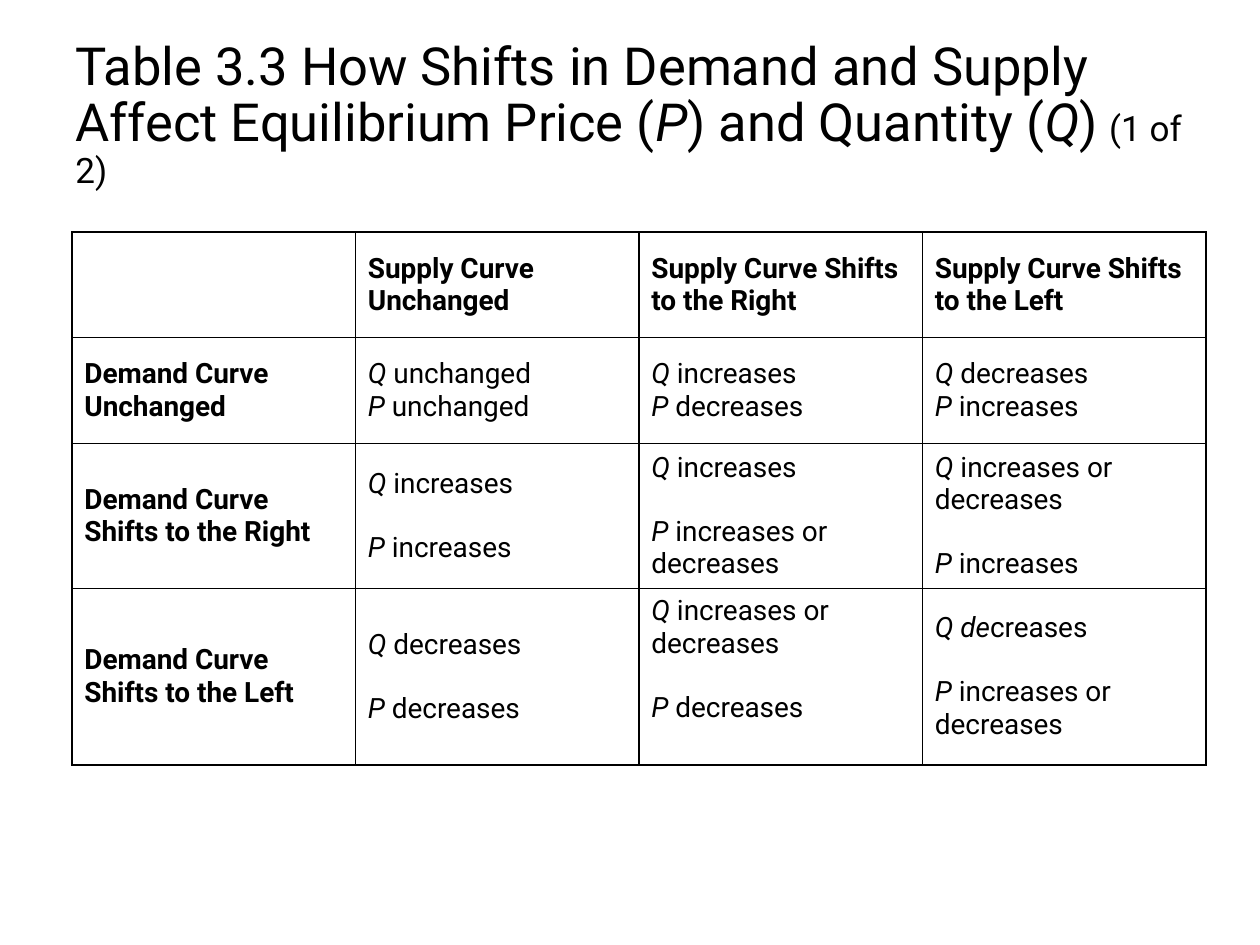
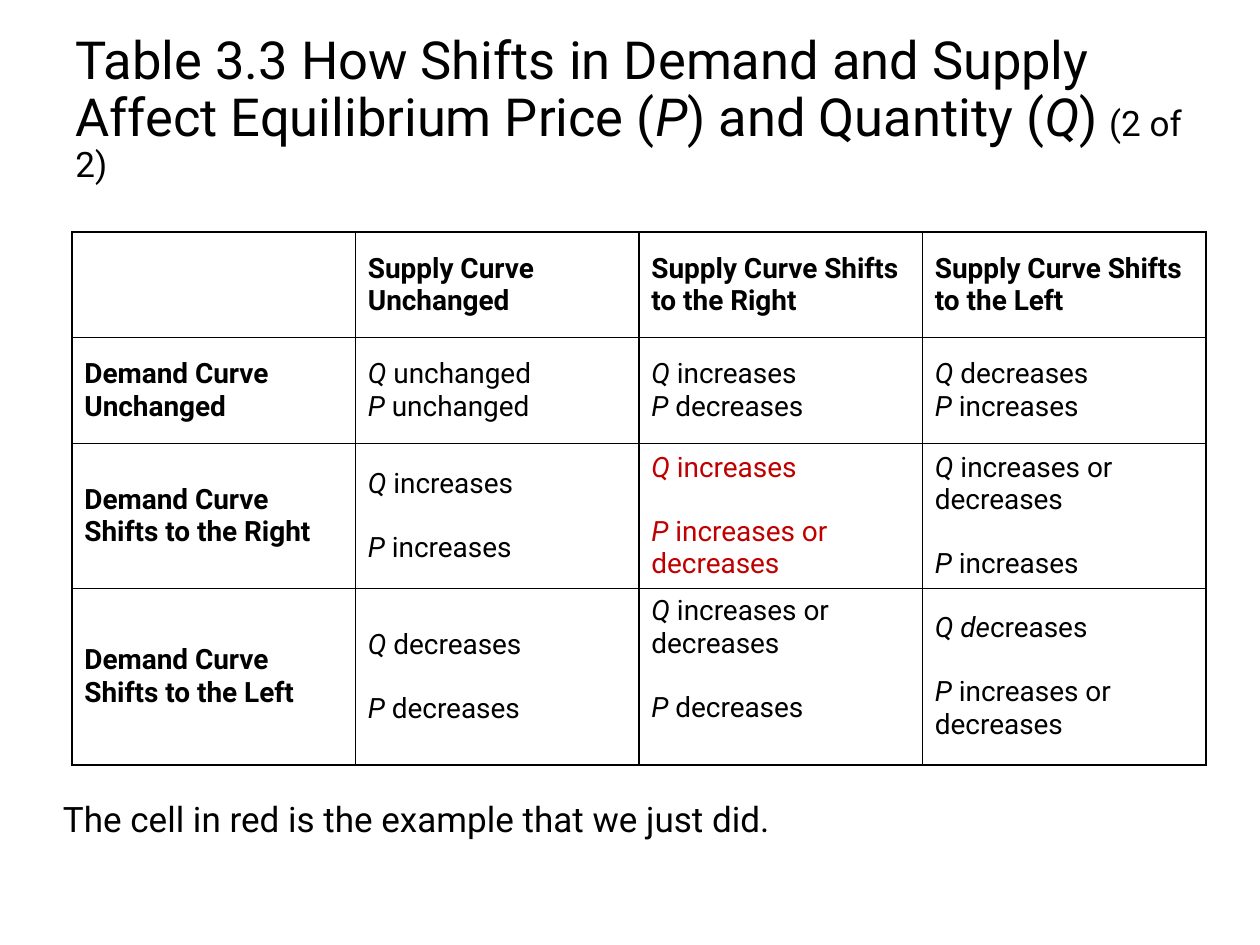
from dataclasses import dataclass

from lxml import etree
from pptx import Presentation
from pptx import util as u
from pptx.dml.color import RGBColor
from pptx.enum import text
from pptx.oxml.ns import qn


@dataclass(frozen=True)
class Theme:
    font: str = "Roboto"
    ink: str = "000000"
    highlight: str = "C00000"
    title: int = 30
    title_space: int = 26
    counter: int = 20
    note: int = 20
    cell: int = 16
    border: int = 1
    gap: int = 18


theme = Theme()


def add_runs(p, marked, size, color=theme.ink, bold=False):
    for i, part in enumerate(marked.split("*")):
        if part:
            r = p.add_run()
            r.text = part
            r.font.name = theme.font
            r.font.size = u.Pt(size)
            r.font.bold = bold
            r.font.italic = i % 2 == 1
            r.font.color.rgb = RGBColor.from_string(color)


def add_border(cell):
    tcPr = cell._tc.get_or_add_tcPr()
    for i, side in enumerate(("lnL", "lnR", "lnT", "lnB")):
        ln = etree.Element(qn(f"a:{side}"), w=str(u.Pt(theme.border)))
        solid = etree.SubElement(ln, qn("a:solidFill"))
        etree.SubElement(solid, qn("a:srgbClr"), val=theme.ink)
        tcPr.insert(i, ln)


title = "Table 3.3 How Shifts in Demand and Supply Affect Equilibrium Price (*P*) and Quantity (*Q*)"
row_heights = [0.84, 0.84, 1.13, 1.4]
col_width = 2.25
top_cell = (3, 2)
effects = [
    ["", "Supply Curve Unchanged",
     "Supply Curve Shifts to the Right", "Supply Curve Shifts to the Left"],
    ["Demand Curve Unchanged", "*Q *unchanged\n*P *unchanged",
     "*Q *increases\n*P *decreases", "*Q *decreases\n*P *increases"],
    ["Demand Curve Shifts to the Right", "*Q *increases\n*P *increases",
     "*Q *increases\n*P* increases or decreases",
     "*Q* increases or decreases\n*P* increases"],
    ["Demand Curve Shifts to the Left", "*Q *decreases\n*P *decreases",
     "*Q* increases or decreases\n*P* decreases",
     "*Q de*creases\n*P* increases or decreases"],
]
pages = [
    ("(1 of 2)", 1.35, None, None),
    ("(2 of 2)", 1.26, (2, 2), "The cell in red is the example that we just did."),
]

prs = Presentation()
prs.slide_width, prs.slide_height = u.Inches(10), u.Inches(7.5)

for counter, title_height, red_cell, note in pages:
    s = prs.slides.add_slide(prs.slide_layouts[6])

    sp = s.shapes.add_textbox(u.Inches(0.5), u.Inches(0.24), u.Inches(9), u.Inches(title_height))
    tf = sp.text_frame
    tf.word_wrap = True
    tf.vertical_anchor = text.MSO_ANCHOR.MIDDLE
    p = tf.paragraphs[0]
    p.line_spacing = 0.9
    add_runs(p, title, theme.title)
    add_runs(p, " ", theme.title_space)
    add_runs(p, counter, theme.counter)

    if note:
        sp = s.shapes.add_textbox(u.Inches(0.5), u.Inches(6.33), u.Inches(9), u.Inches(0.42))
        tf = sp.text_frame
        tf.word_wrap = True
        tf.margin_left = tf.margin_right = tf.margin_top = tf.margin_bottom = 0
        add_runs(tf.paragraphs[0], note, theme.note)

    table = s.shapes.add_table(
        len(effects), len(effects[0]), u.Inches(0.57), u.Inches(1.84),
        u.Inches(col_width * len(effects[0])), u.Inches(sum(row_heights))).table
    table.first_row = table.horz_banding = False
    for col in table.columns:
        col.width = u.Inches(col_width)

    for row, (height, labels) in enumerate(zip(row_heights, effects)):
        table.rows[row].height = u.Inches(height)
        for col, label in enumerate(labels):
            cell = table.cell(row, col)
            cell.fill.background()
            at_top = (row, col) == top_cell
            cell.vertical_anchor = text.MSO_ANCHOR.TOP if at_top else text.MSO_ANCHOR.MIDDLE
            add_border(cell)
            color = theme.highlight if (row, col) == red_cell else theme.ink
            tf = cell.text_frame
            for i, line in enumerate(label.split("\n")):
                p = tf.add_paragraph() if i else tf.paragraphs[0]
                if i and row > 1:
                    p.space_before = u.Pt(theme.gap)
                add_runs(p, line, theme.cell, color, bold=row == 0 or col == 0)

prs.save("out.pptx")
